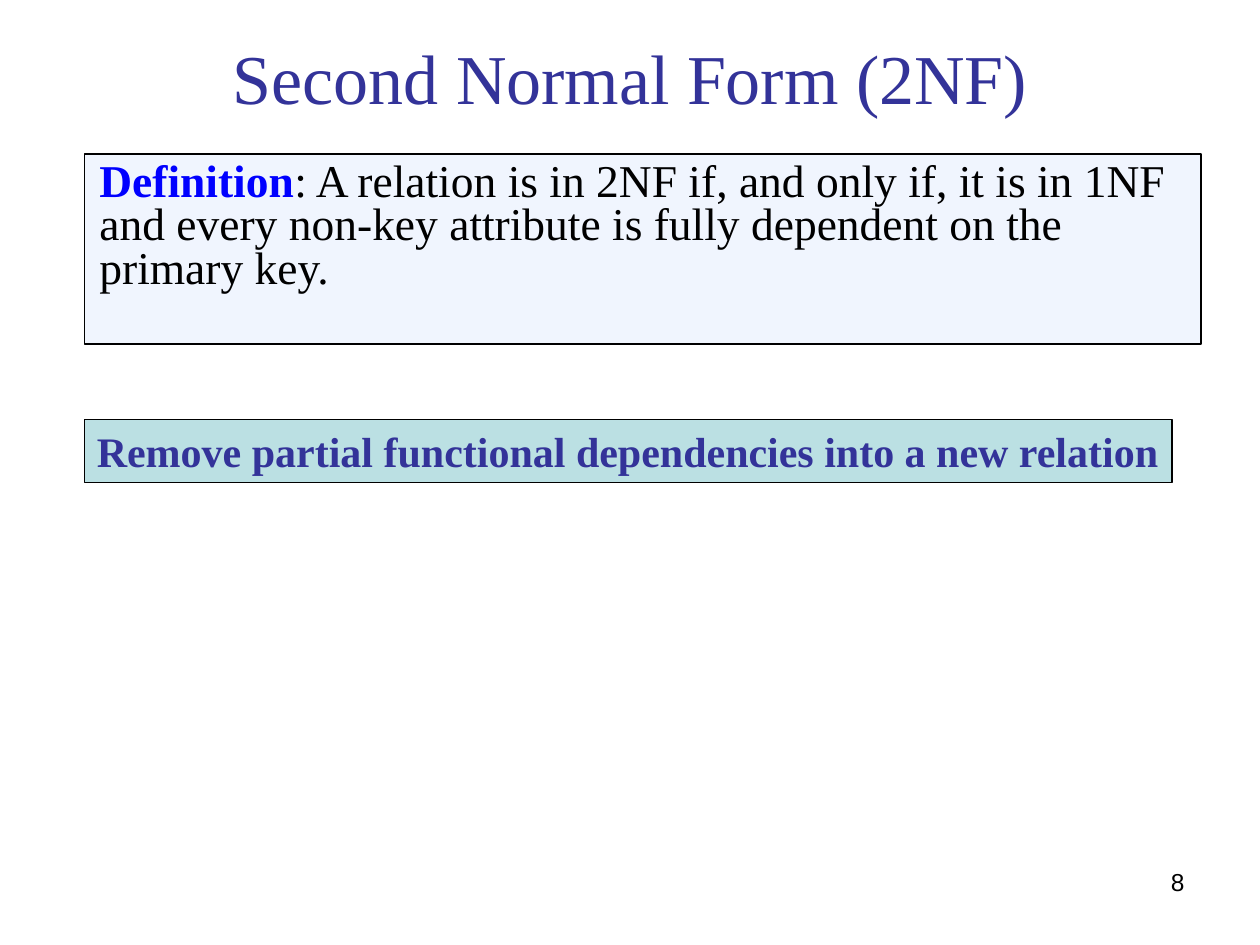
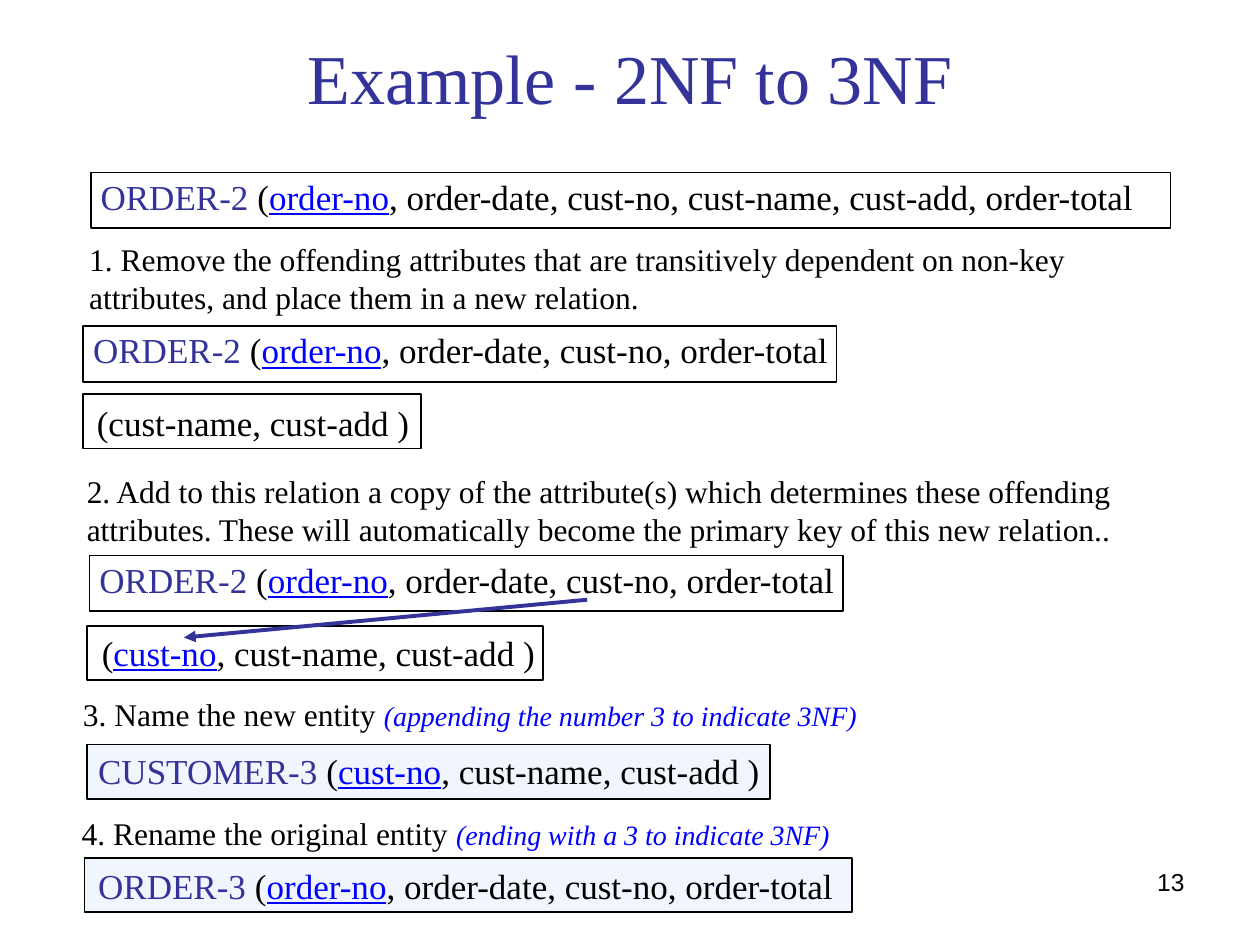
from lxml.etree import SubElement
from pptx import Presentation
from pptx.dml.color import RGBColor
from pptx.enum.shapes import MSO_CONNECTOR, MSO_SHAPE
from pptx.enum.text import MSO_ANCHOR, MSO_AUTO_SIZE, PP_ALIGN
from pptx.oxml.ns import qn
from pptx.util import Inches, Pt

COLORS = {
    "navy": "333399",
    "blue": "0000FF",
    "black": "000000",
    "white": "FFFFFF",
    "pale": "F0F5FE",
    "teal": "BBE0E3",
}
SERIF = "Times New Roman"
SANS = "Arial"


def rgb(name):
    return RGBColor.from_string(COLORS[name])


def place(sp, left, top, width, height):
    sp.left, sp.top = Inches(left), Inches(top)
    sp.width, sp.height = Inches(width), Inches(height)


def add_run(p, text, size=20, color="black", font=SERIF, bold=False, italic=False, underline=False):
    r = p.add_run()
    r.text = text
    r.font.size, r.font.name = Pt(size), font
    r.font.color.rgb = rgb(color)
    r.font.bold, r.font.italic, r.font.underline = bold, italic, underline


def write(sp, runs, align=PP_ALIGN.LEFT, anchor=MSO_ANCHOR.TOP, wrap=True, grow=False, spacing=None, before=None):
    tf = sp.text_frame
    tf.word_wrap, tf.vertical_anchor = wrap, anchor
    tf.auto_size = MSO_AUTO_SIZE.SHAPE_TO_FIT_TEXT if grow else MSO_AUTO_SIZE.NONE
    p = tf.paragraphs[0]
    p.alignment, p.line_spacing = align, spacing
    if before is not None:
        p.space_before = Pt(before)
    for text, style in runs:
        add_run(p, text, **style)


def add_text(shapes, at, runs, **style):
    sp = shapes.add_textbox(*map(Inches, at))
    write(sp, runs, **style)


def add_box(shapes, at, fill):
    sp = shapes.add_shape(MSO_SHAPE.RECTANGLE, *map(Inches, at))
    sp.shadow.inherit = False
    sp.fill.solid()
    sp.fill.fore_color.rgb = rgb(fill)
    sp.line.color.rgb = rgb("black")
    sp.line.width = Pt(1)
    return sp


def add_relation(shapes, box, text_at, name, key, rest, fill="white", wrap=True):
    add_box(shapes, box, fill)
    runs = [(name, {"color": "navy"}), (" (" if name else "(", {})]
    if key:
        runs.append((key, {"color": "blue", "underline": True}))
    runs.append((rest, {}))
    add_text(shapes, text_at, [run for run in runs if run[0]], wrap=wrap, grow=True)


def add_step(shapes, at, text, hint=None, **style):
    runs = [(text, {"size": 18})]
    if hint:
        runs.append((hint, {"size": 16, "color": "blue", "italic": True}))
    add_text(shapes, at, runs, grow=True, wrap=hint is None, **style)


def add_arrow(shapes, tip, tail):
    cn = shapes.add_connector(MSO_CONNECTOR.STRAIGHT, *map(Inches, tip + tail))
    cn.line.color.rgb = rgb("navy")
    cn.line.width = Pt(2.25)
    SubElement(cn.line._get_or_add_ln(), qn("a:headEnd"), type="triangle")
    SubElement(cn._element.spPr, qn("a:effectLst"))


def add_slide(prs, title, number):
    s = prs.slides.add_slide(prs.slide_layouts[5])
    place(s.shapes.title, 0, 0, 10, 1.21)
    write(s.shapes.title, [(title, {"size": 40, "color": "navy"})],
          align=PP_ALIGN.CENTER, anchor=MSO_ANCHOR.MIDDLE)
    add_text(s.shapes, (7.17, 6.83, 2.33, 0.52),
             [(str(number), {"size": 14, "font": SANS})], align=PP_ALIGN.RIGHT)
    return s


def add_definition_slide(prs):
    s = add_slide(prs, "Second Normal Form (2NF)", 8)
    add_box(s.shapes, (0.67, 1.22, 8.86, 1.51), "pale")
    add_text(s.shapes, (0.69, 1.24, 9.02, 1.17), [
        ("Definition", {"size": 26, "color": "blue", "bold": True}),
        (": A relation is in 2NF if, and only if, it is in 1NF and every non-key "
         "attribute is fully dependent on the primary key.", {"size": 26}),
    ], spacing=0.8, before=6.5)
    rule = add_box(s.shapes, (0.67, 3.33, 8.63, 0.5), "teal")
    write(rule, [("Remove partial functional dependencies into a new relation",
                  {"size": 24, "color": "navy", "bold": True})], wrap=False, grow=True)


def add_example_slide(prs):
    s = add_slide(prs, "Example - 2NF to 3NF", 13)
    start, split, copy_key, name_new, rename = [s.shapes.add_group_shape().shapes for _ in range(5)]
    order = ", order-date, cust-no, order-total"
    customer = ", cust-name, cust-add )"

    add_relation(start, (0.72, 1.37, 8.57, 0.44), (0.7, 1.34, 8.76, 0.44), "ORDER-2", "order-no",
                 ", order-date, cust-no, cust-name, cust-add, order-total")

    add_step(split, (0.61, 1.86, 8.69, 0.7),
             "1. Remove the offending attributes that are transitively dependent on "
             "non-key attributes, and place them in a new relation.")
    add_relation(split, (0.66, 3.13, 2.68, 0.43), (0.67, 3.14, 2.68, 0.44), "", "",
                 "cust-name, cust-add )", wrap=False)
    add_relation(split, (0.66, 2.59, 5.98, 0.44), (0.64, 2.56, 6.11, 0.44), "ORDER-2", "order-no", order)

    add_step(copy_key, (0.59, 3.7, 8.89, 0.7),
             "2. Add to this relation a copy of the attribute(s) which determines these offending "
             "attributes. These will automatically become the primary key of this new relation..")
    add_relation(copy_key, (0.69, 4.97, 3.62, 0.43), (0.71, 4.96, 3.64, 0.44), "", "cust-no",
                 customer, wrap=False)
    add_relation(copy_key, (0.71, 4.41, 5.98, 0.44), (0.69, 4.38, 6.11, 0.44), "ORDER-2", "order-no", order)
    add_arrow(copy_key, (1.46, 5.06), (4.66, 4.76))

    add_step(name_new, (0.56, 5.5, 6.34, 0.37), "3. Name the new entity ",
             "(appending the number 3 to indicate 3NF)", spacing=0.9)
    add_relation(name_new, (0.69, 5.91, 5.42, 0.43), (0.68, 5.9, 5.45, 0.44), "CUSTOMER-3", "cust-no",
                 customer, fill="pale", wrap=False)

    add_step(rename, (0.55, 6.41, 6.14, 0.4), "4. Rename the original entity ",
             "(ending with a 3 to indicate 3NF)")
    add_relation(rename, (0.67, 6.81, 6.09, 0.43), (0.68, 6.81, 6.11, 0.44), "ORDER-3", "order-no",
                 order, fill="pale")


def main():
    prs = Presentation()
    prs.slide_width, prs.slide_height = Inches(10), Inches(7.5)
    add_definition_slide(prs)
    add_example_slide(prs)
    prs.save("out.pptx")


main()
